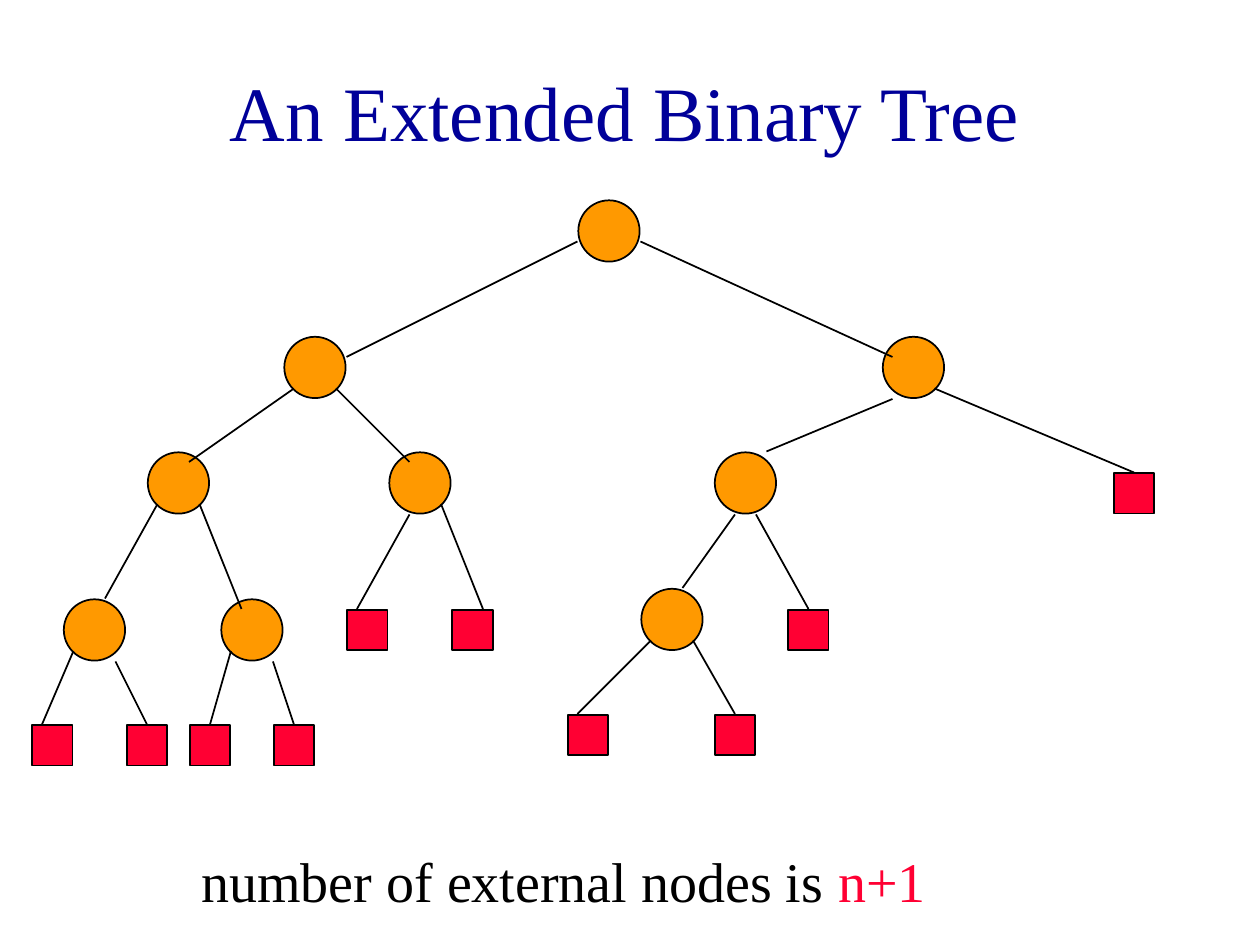
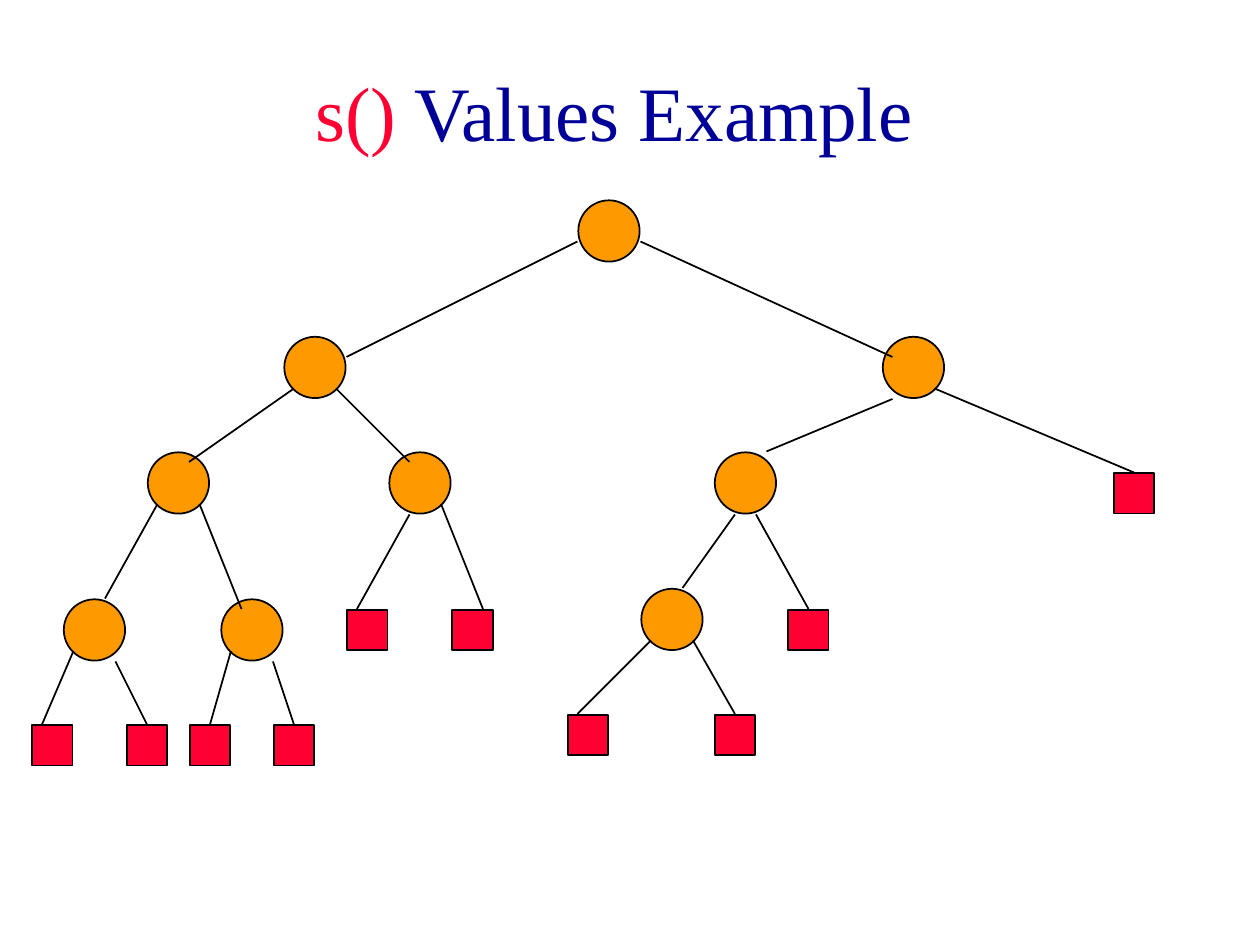
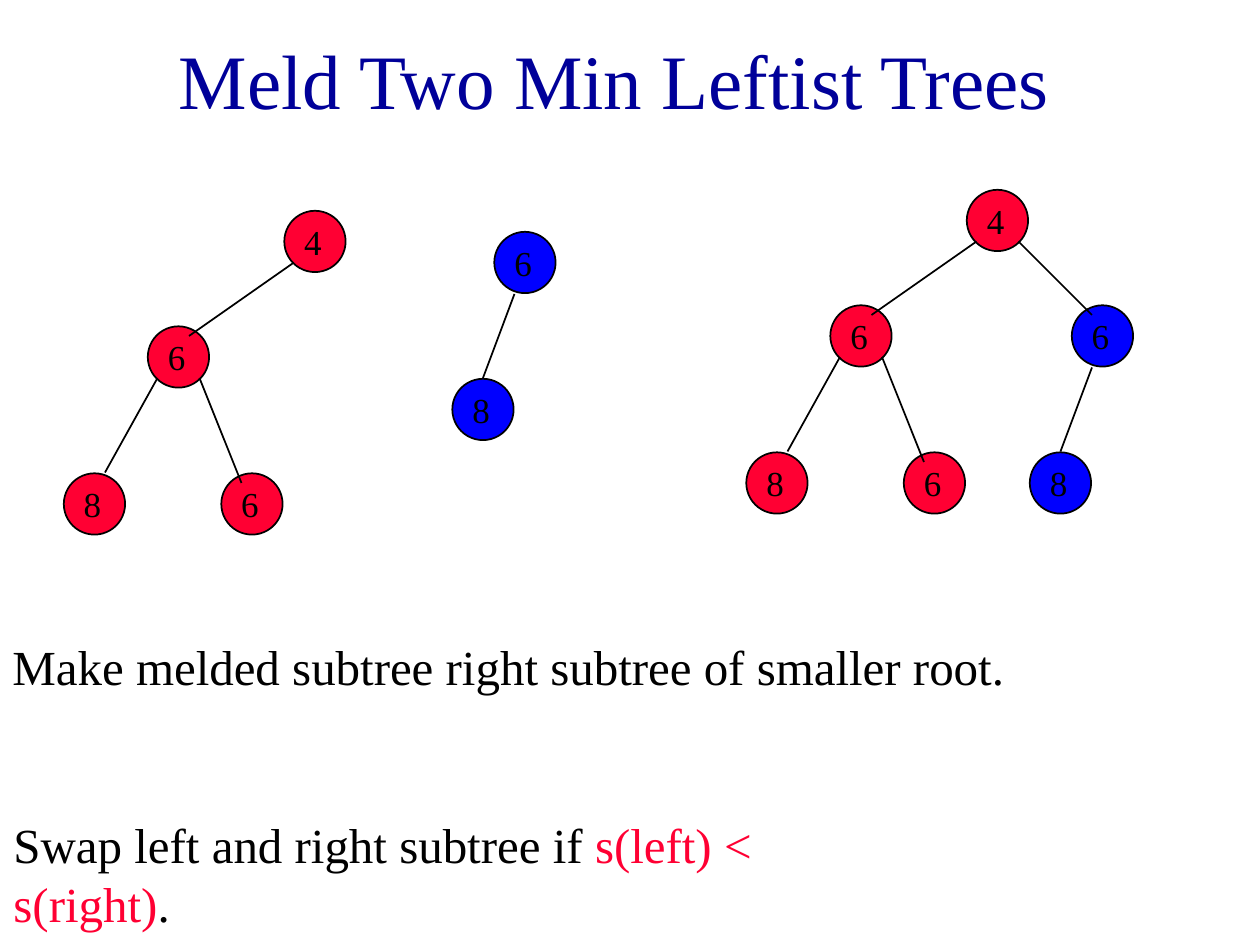
from typing import NamedTuple

from lxml import etree
from pptx import Presentation
from pptx.dml.color import RGBColor
from pptx.enum.shapes import MSO_CONNECTOR, MSO_SHAPE
from pptx.enum.text import MSO_ANCHOR, MSO_AUTO_SIZE, PP_ALIGN
from pptx.oxml.ns import qn
from pptx.util import Inches, Pt

OVAL, RECT = MSO_SHAPE.OVAL, MSO_SHAPE.RECTANGLE
STRAIGHT = MSO_CONNECTOR.STRAIGHT
MIDDLE, CENTER = MSO_ANCHOR.MIDDLE, PP_ALIGN.CENTER
FIXED, GROW = MSO_AUTO_SIZE.NONE, MSO_AUTO_SIZE.SHAPE_TO_FIT_TEXT

WIDE, HIGH = Inches(10), Inches(7.5)
COLS, ROWS = 120, 90
INSET = 0.08  # gap between a node and its grid cell
FACE = "Times New Roman"
HUES = {
    "navy": "000099",
    "black": "000000",
    "red": "FF0033",
    "orange": "FF9900",
    "blue": "0000FF",
}


class Box(NamedTuple):
    col: float
    row: float
    cols: float
    rows: float


class Run(NamedTuple):
    text: str
    hue: str = "black"


class Node(NamedTuple):
    col: int
    row: int
    hue: str
    label: str = ""
    size: int = 6
    form: int = OVAL


class Edge(NamedTuple):
    col: int
    row: int
    end_col: int
    end_row: int


class Tree(NamedTuple):
    nodes: list[Node]
    edges: list[Edge]

    def shift(self, cols: int, rows: int) -> "Tree":
        return Tree(
            [n._replace(col=n.col + cols, row=n.row + rows) for n in self.nodes],
            [Edge(e.col + cols, e.row + rows, e.end_col + cols, e.end_row + rows)
             for e in self.edges],
        )

    def join(self, other: "Tree", *links: Edge) -> "Tree":
        return Tree(self.nodes + other.nodes, self.edges + other.edges + list(links))


INNER = [(55, 19), (27, 32), (84, 32), (14, 43), (37, 43), (68, 43),
         (6, 57), (21, 57), (61, 56)]
OUTER = [(33, 58), (43, 58), (75, 58), (106, 45), (3, 69), (12, 69),
         (18, 69), (26, 69), (54, 68), (68, 68)]
LINKS = [
    (55, 23, 33, 34), (61, 23, 85, 34), (28, 37, 18, 44), (32, 37, 39, 44),
    (85, 38, 73, 43), (89, 37, 108, 45), (15, 48, 10, 57), (19, 48, 23, 58),
    (39, 49, 34, 58), (42, 48, 46, 58), (70, 49, 65, 56), (72, 49, 77, 58),
    (7, 62, 4, 69), (11, 63, 14, 69), (22, 62, 20, 69), (26, 63, 28, 69),
    (62, 61, 55, 68), (66, 61, 70, 68),
]
FULL = Tree(
    [Node(*spot, "orange") for spot in INNER]
    + [Node(*spot, "red", size=4, form=RECT) for spot in OUTER],
    [Edge(*link) for link in LINKS],
)
FIRST = Tree(
    [Node(27, 20, "red", "4"), Node(14, 31, "red", "6"),
     Node(6, 45, "red", "8"), Node(21, 45, "red", "6")],
    [Edge(28, 25, 18, 32), Edge(15, 36, 10, 45), Edge(19, 36, 23, 46)],
)
SECOND = Tree(
    [Node(47, 22, "blue", "6"), Node(43, 36, "blue", "8")],
    [Edge(49, 28, 46, 36)],
)
MELD = FIRST.shift(65, -2).join(SECOND.shift(55, 7), Edge(97, 23, 104, 30))


def across(cols: float) -> int:
    return round(WIDE * cols / COLS)


def down(rows: float) -> int:
    return round(HIGH * rows / ROWS)


def place(box: Box) -> tuple[int, int, int, int]:
    return across(box.col), down(box.row), across(box.cols), down(box.rows)


def tint(hue: str) -> RGBColor:
    return RGBColor.from_string(HUES[hue])


def style(item, **values) -> None:
    for name, value in values.items():
        setattr(item, name, value)


def write(frame, runs: list[Run], size: float, para: dict, **values) -> None:
    """Fill a text frame with one line of coloured runs."""
    style(frame, **values)
    line = frame.paragraphs[0]
    style(line, **para)
    for text, hue in runs:
        run = line.add_run()
        run.text = text
        style(run.font, name=FACE, size=Pt(size))
        run.font.color.rgb = tint(hue)


def add_text(shapes, box: Box, runs: list[Run], size: float,
             wrap: bool = False, before: float = 0) -> None:
    frame = shapes.add_textbox(*place(box)).text_frame
    write(frame, runs, size, {"space_before": Pt(before)},
          word_wrap=wrap, auto_size=GROW)


def add_node(shapes, node: Node) -> None:
    side = node.size - 2 * INSET
    box = Box(node.col + INSET, node.row + INSET, side, side)
    shape = shapes.add_shape(node.form, *place(box))
    shape.shadow.inherit = False
    shape.fill.solid()
    shape.fill.fore_color.rgb = tint(node.hue)
    ink(shape.line)


def add_edge(shapes, edge: Edge) -> None:
    line = shapes.add_connector(
        STRAIGHT, across(edge.col), down(edge.row),
        across(edge.end_col), down(edge.end_row))
    ink(line.line)
    etree.SubElement(line._element.spPr, qn("a:effectLst"))


def ink(line) -> None:
    line.color.rgb = tint("black")
    line.width = Pt(1)


def draw(shapes, tree: Tree) -> None:
    for node in tree.nodes:
        add_node(shapes, node)
    for edge in tree.edges:
        add_edge(shapes, edge)
    for node in tree.nodes:
        if node.label:
            box = Box(node.col + 0.8, node.row + 0.4, 4.1, 5.2)
            add_text(shapes, box, [Run(node.label)], 20)


def add_slide(deck, runs: list[Run], col: int = 0, row: int = 3):
    slide = deck.slides.add_slide(deck.slide_layouts[5])
    title = slide.shapes.title
    names = ("left", "top", "width", "height")
    style(title, **dict(zip(names, place(Box(col, row, 117, 15)))))
    write(title.text_frame, runs, 44, {"alignment": CENTER},
          vertical_anchor=MIDDLE, word_wrap=True, auto_size=FIXED)
    return slide.shapes


def main() -> None:
    deck = Presentation()
    style(deck, slide_width=WIDE, slide_height=HIGH)

    shapes = add_slide(deck, [Run("An Extended Binary Tree", "navy")], col=1)
    draw(shapes, FULL)
    add_text(shapes, Box(18, 80, 79, 7.6),
             [Run("number of external nodes is "), Run("n+1", "red")],
             32, wrap=True, before=20)

    shapes = add_slide(deck, [Run("s()", "red"), Run(" Values Example", "navy")])
    draw(shapes.add_group_shape().shapes, FULL)

    shapes = add_slide(deck, [Run("Meld Two Min Leftist Trees", "navy")], row=0)
    for tree in (MELD, FIRST.join(SECOND)):
        draw(shapes.add_group_shape().shapes, tree)
    add_text(shapes, Box(0, 60, 105, 6.9),
             [Run("Make melded subtree right subtree of smaller root.")],
             28, wrap=True, before=17.5)
    add_text(shapes, Box(0.1, 77, 88.7, 6.9),
             [Run("Swap left and right subtree if "),
              Run("s(left) < s(right)", "red"), Run(".")],
             28, before=17.5)

    deck.save("out.pptx")


if __name__ == "__main__":
    main()
